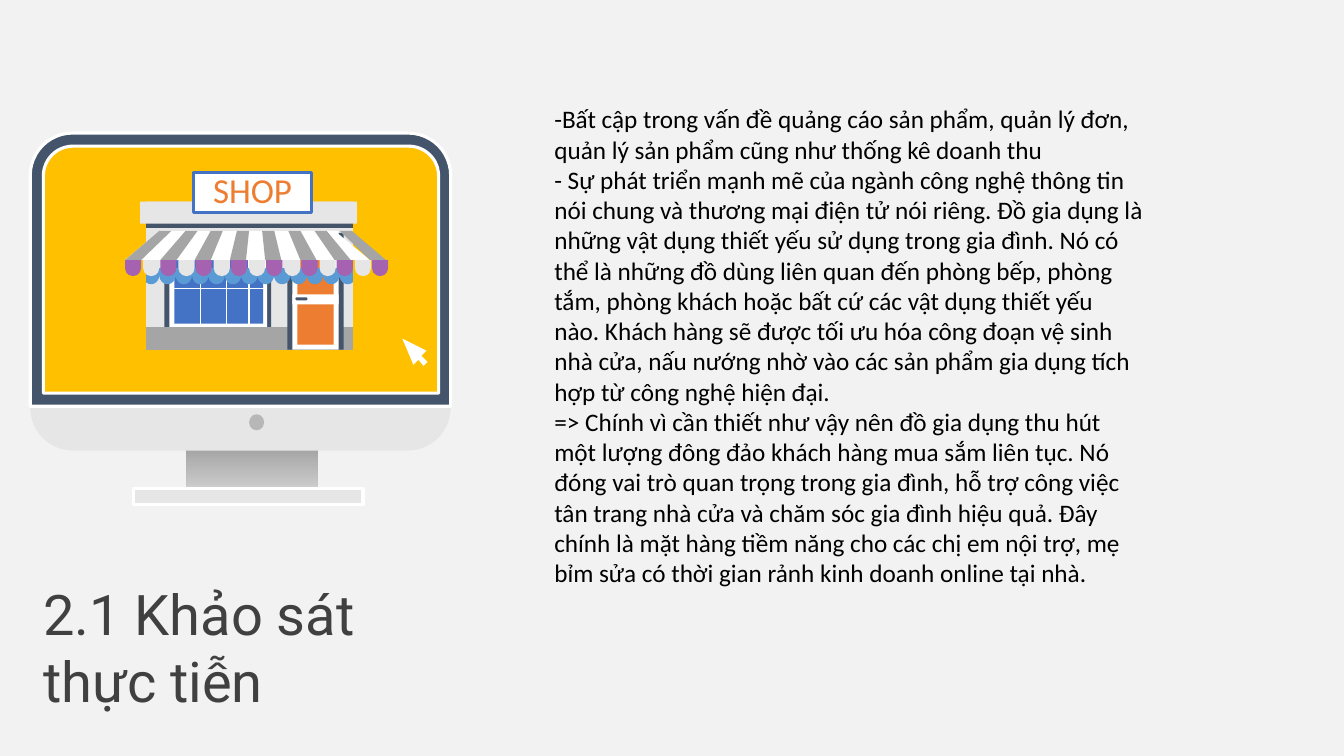
import math

from lxml import etree
from pptx import Presentation
from pptx import util as u
from pptx.dml.color import RGBColor
from pptx.enum import shapes, text
from pptx.oxml.ns import qn

PX = 9144
WHITE = RGBColor(0xFF, 0xFF, 0xFF)
BLACK = RGBColor(0x00, 0x00, 0x00)
PAPER = RGBColor(0xF2, 0xF2, 0xF2)
CHARCOAL = RGBColor(0x40, 0x40, 0x40)
SILVER = RGBColor(0xE7, 0xE6, 0xE6)
BUTTON = RGBColor(0xB7, 0xB7, 0xB7)
STAND_DARK = RGBColor(0x91, 0x91, 0x91)
STAND_LIGHT = RGBColor(0xDD, 0xDD, 0xDD)
GRAY = RGBColor(0xA5, 0xA5, 0xA5)
SLATE = RGBColor(0x44, 0x54, 0x6A)
YELLOW = RGBColor(0xFF, 0xC0, 0x00)
BLUE = RGBColor(0x44, 0x72, 0xC4)
SKY = RGBColor(0x5B, 0x9B, 0xD5)
ORANGE = RGBColor(0xED, 0x7D, 0x31)
PURPLE = RGBColor(0xA5, 0x62, 0xB0)

RECT = shapes.MSO_SHAPE.RECTANGLE
OVAL = shapes.MSO_SHAPE.OVAL
ROUNDED = shapes.MSO_SHAPE.ROUNDED_RECTANGLE
ROUND_ENDS = shapes.MSO_SHAPE.ROUND_2_SAME_RECTANGLE

ARGUMENTS = [
    "-Bất cập trong vấn đề quảng cáo sản phẩm, quản lý đơn, quản lý sản phẩm cũng như thống kê doanh thu",
    "- Sự phát triển mạnh mẽ của ngành công nghệ thông tin nói chung và thương mại điện tử nói riêng. "
    "Đồ gia dụng là những vật dụng thiết yếu sử dụng trong gia đình. Nó có thể là những đồ dùng liên quan "
    "đến phòng bếp, phòng tắm, phòng khách hoặc bất cứ các vật dụng thiết yếu nào. Khách hàng sẽ được tối ưu "
    "hóa công đoạn vệ sinh nhà cửa, nấu nướng nhờ vào các sản phẩm gia dụng tích hợp từ công nghệ hiện đại.",
    "=> Chính vì cần thiết như vậy nên đồ gia dụng thu hút một lượng đông đảo khách hàng mua sắm liên tục. "
    "Nó đóng vai trò quan trọng trong gia đình, hỗ trợ công việc tân trang nhà cửa và chăm sóc gia đình "
    "hiệu quả. Đây chính là mặt hàng tiềm năng cho các chị em nội trợ, mẹ bỉm sửa có thời gian rảnh kinh "
    "doanh online tại nhà.",
]


class SlideBuilder:
    font = "Calibri"
    title_font = "Roboto"

    def __init__(self, slide):
        self.slide = slide
        self.shapes = slide.shapes
        slide.background.fill.solid()
        slide.background.fill.fore_color.rgb = PAPER

    def paint(self, shape, fill, line=None, weight=0.75):
        shape.shadow.inherit = False
        shape.fill.solid()
        shape.fill.fore_color.rgb = fill
        if line is None:
            shape.line.fill.background()
        else:
            shape.line.color.rgb = line
            shape.line.width = u.Pt(weight)
        return shape

    def box(self, bounds, fill, line=None, weight=0.75, kind=RECT, corners=()):
        shape = self.shapes.add_shape(kind, *[value * PX for value in bounds])
        for index, corner in enumerate(corners):
            shape.adjustments[index] = corner
        return self.paint(shape, fill, line, weight)

    def outline(self, points, fill):
        start, *rest = [(x * PX, y * PX) for x, y in points]
        builder = self.shapes.build_freeform(*start)
        builder.add_line_segments(rest)
        return self.paint(builder.convert_to_shape(), fill)

    def line(self, x1, y1, x2, y2, color, weight):
        ends = [value * PX for value in (x1, y1, x2, y2)]
        connector = self.shapes.add_connector(shapes.MSO_CONNECTOR.STRAIGHT, *ends)
        connector.line.color.rgb = color
        connector.line.width = u.Pt(weight)
        etree.SubElement(connector._element.spPr, qn("a:effectLst"))

    def set_text(self, shape, paragraphs, size, color, font, align=text.PP_ALIGN.LEFT):
        frame = shape.text_frame
        frame.word_wrap = True
        for index, content in enumerate(paragraphs):
            paragraph = frame.add_paragraph() if index else frame.paragraphs[0]
            paragraph.text = content
            paragraph.alignment = align
            paragraph.font.size = u.Pt(size)
            paragraph.font.name = font
            paragraph.font.color.rgb = color
        return frame

    def title(self, bounds, content):
        shape = self.shapes.title
        shape.left, shape.top, shape.width, shape.height = [value * PX for value in bounds]
        frame = self.set_text(shape, [content], 40, CHARCOAL, self.title_font)
        frame.vertical_anchor = text.MSO_ANCHOR.TOP
        frame.auto_size = text.MSO_AUTO_SIZE.SHAPE_TO_FIT_TEXT

    def body(self, bounds, paragraphs):
        shape = self.shapes.add_textbox(*[value * PX for value in bounds])
        frame = self.set_text(shape, paragraphs, 18, BLACK, self.font)
        frame.auto_size = text.MSO_AUTO_SIZE.SHAPE_TO_FIT_TEXT

    def sign(self, bounds, content):
        shape = self.box(bounds, WHITE, BLUE, 1.75)
        frame = self.set_text(shape, [content], 25, ORANGE, self.font, text.PP_ALIGN.CENTER)
        frame.vertical_anchor = text.MSO_ANCHOR.MIDDLE
        frame.paragraphs[0].line_spacing = 0.9


def draw_monitor(builder):
    stand = builder.box((185, 427, 130, 73), STAND_DARK)
    stand.fill.gradient()
    stand.fill.gradient_angle = 270
    for stop, color in zip(stand.fill.gradient_stops, (STAND_DARK, STAND_LIGHT)):
        stop.color.rgb = color
    builder.box((132, 485, 228, 16), SILVER, WHITE, 2.25)
    builder.box((30, 132, 417, 315), SILVER, kind=ROUNDED, corners=[0.135])
    builder.box((247, 411, 15, 16), BUTTON, kind=OVAL)
    builder.box((30, 132, 417, 271), SLATE, WHITE, 2.25, ROUND_ENDS, [0.155, 0])
    builder.box((43, 145, 392, 245), YELLOW, WHITE, 2.25, ROUND_ENDS, [0.12, 0])


def draw_shop_front(builder):
    builder.box((145, 200, 205, 147), SILVER)
    builder.box((163, 241, 106, 89), SLATE)
    builder.box((168, 246, 97, 79), WHITE)
    builder.box((173, 252, 88, 69), BLUE)
    builder.line(170, 286, 263, 286, WHITE, 0.85)
    for x in (199, 225, 247):
        builder.line(x, 243, x, 324, WHITE, 0.85)
    builder.box((145, 325, 205, 22), GRAY, GRAY)
    builder.box((285, 231, 56, 116), SLATE)
    builder.box((290, 229, 46, 118), WHITE)
    builder.box((295, 234, 36, 108), ORANGE)


def draw_valance(builder):
    left, right, first_notch, pitch = 145, 350, 158, 16.25
    edge = []
    for step in range(2 * (right - left) + 1):
        x = left + step / 2
        phase = (x - first_notch) % pitch / pitch
        edge.append((x, 273 + 9 * math.sqrt(1 - (2 * phase - 1) ** 2)))
    builder.outline([(left, 266), *edge, (right, 266)], SKY)


def draw_awning(builder):
    top, bottom = 229, 258
    builder.outline([(158, top), (124, bottom), (367, bottom), (332, top)], WHITE)
    for index in range(8):
        upper = 158 + round(25.6 * index)
        lower = 124 + round(34.7 * index)
        builder.outline([(upper, top), (lower, bottom), (lower + 16, bottom), (upper + 12, top)], GRAY)
    for index in range(15):
        x = 124 + (35 * index + 1) // 2
        color = SILVER if index % 2 else PURPLE
        builder.box((x, bottom, 16, 16), color, kind=ROUND_ENDS, corners=[0, 0.5])


def main():
    presentation = Presentation()
    presentation.slide_width, presentation.slide_height = u.Inches(13.33), u.Inches(7.5)
    builder = SlideBuilder(presentation.slides.add_slide(presentation.slide_layouts[5]))

    builder.title((33, 570, 449, 145), "2.1 Khảo sát thực tiễn")
    builder.body((540, 98, 604, 495), ARGUMENTS)
    draw_monitor(builder)
    draw_shop_front(builder)
    draw_valance(builder)
    builder.box((290, 292, 46, 10), WHITE)
    builder.box((293, 295, 12, 3), SLATE, kind=ROUNDED, corners=[0.5])
    builder.box((145, 208, 205, 18), SLATE)
    builder.box((139, 200, 215, 22), SILVER)
    builder.sign((192, 171, 117, 40), "SHOP")
    draw_awning(builder)
    builder.outline([(399, 336), (410, 362), (415, 357), (420, 363), (424, 359), (418, 353), (423, 348)], WHITE)
    presentation.save("out.pptx")


if __name__ == "__main__":
    main()
